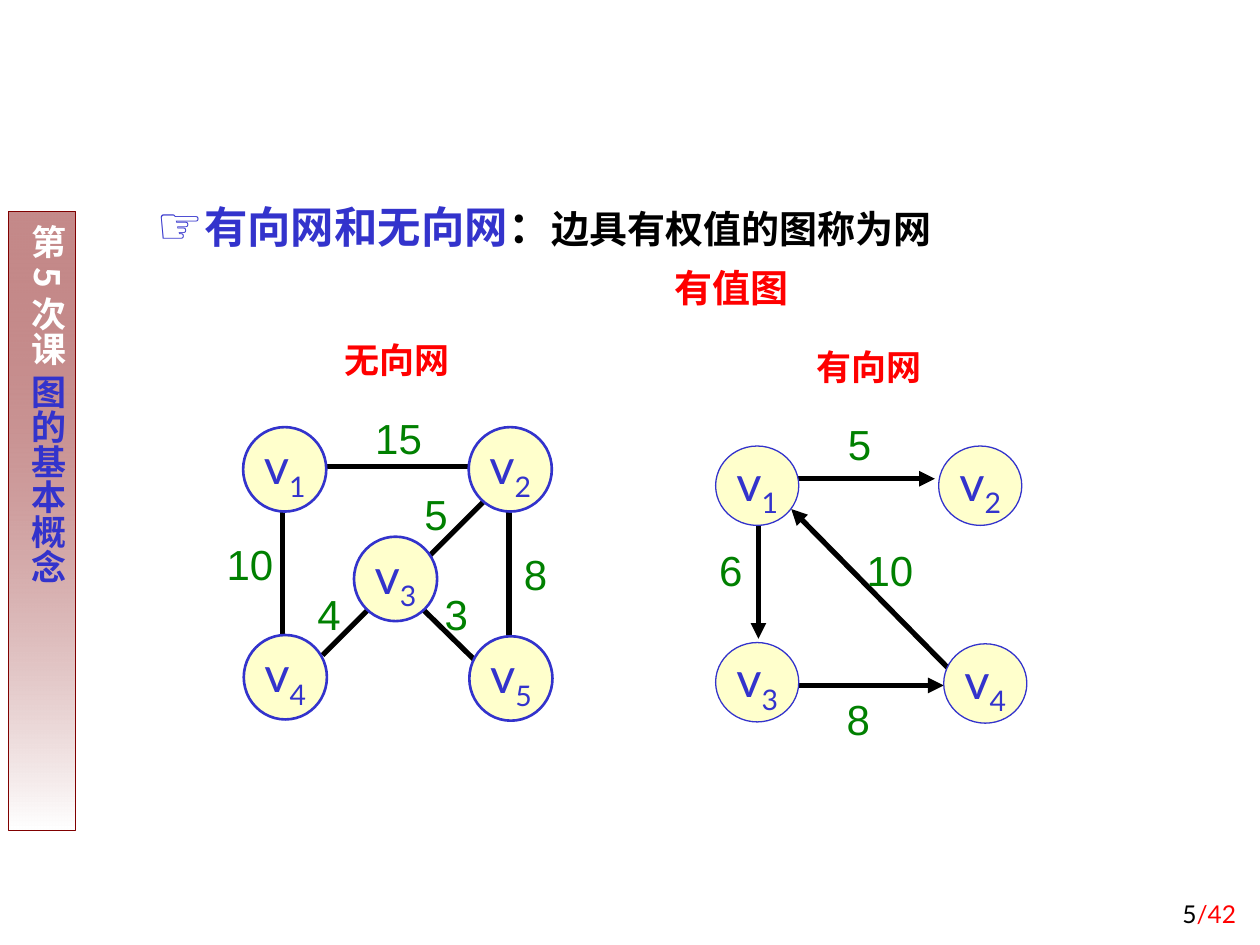
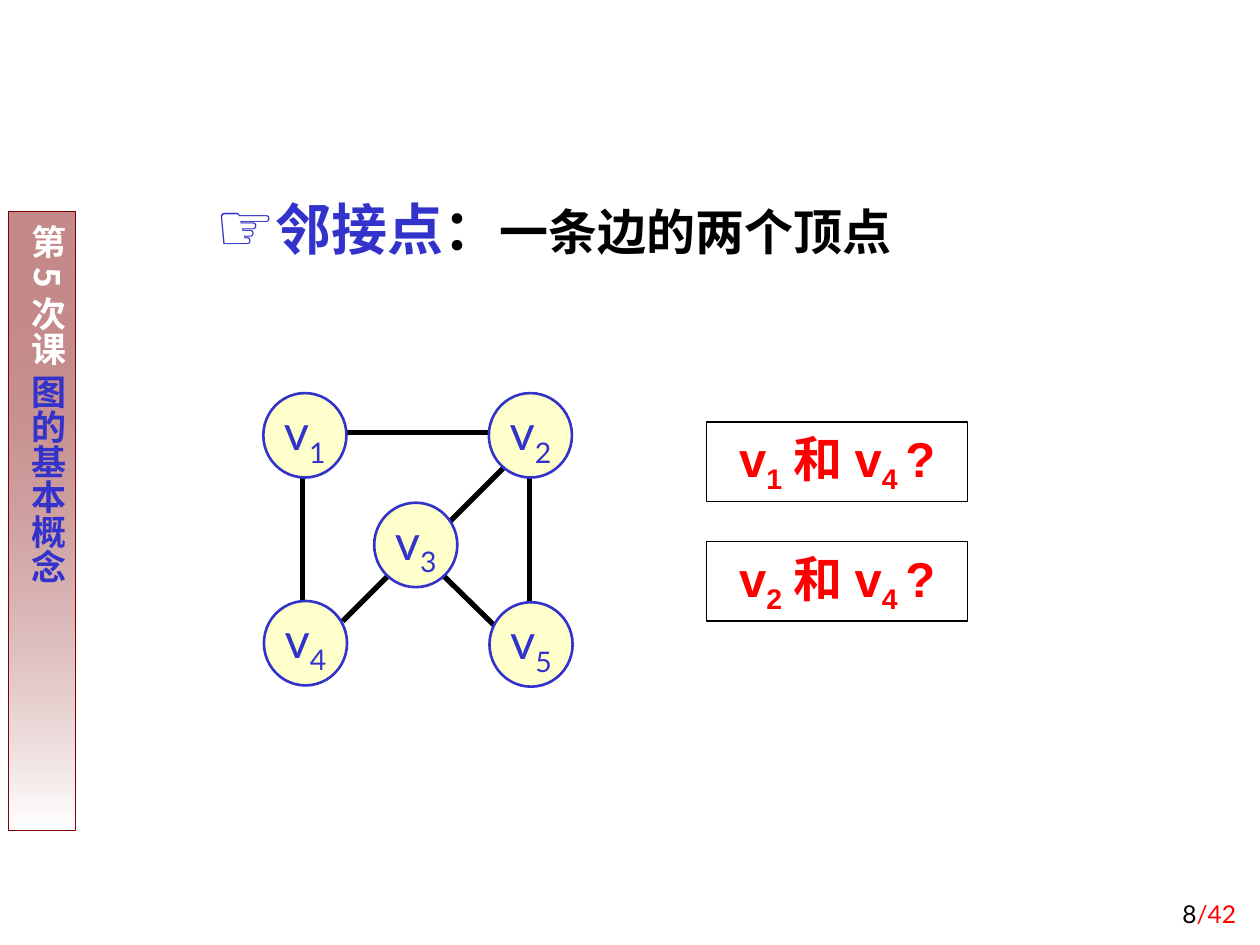
from dataclasses import dataclass
from typing import NamedTuple

from lxml import etree
from pptx import Presentation
from pptx.dml.color import RGBColor
from pptx.enum.shapes import MSO_CONNECTOR, MSO_SHAPE
from pptx.enum.text import MSO_ANCHOR, MSO_AUTO_SIZE, PP_ALIGN
from pptx.oxml.ns import qn
from pptx.util import Inches, Pt

# Enum members
RECT, OVAL = MSO_SHAPE.RECTANGLE, MSO_SHAPE.OVAL
LINE = MSO_CONNECTOR.STRAIGHT
LEFT, MID, RIGHT = PP_ALIGN.LEFT, PP_ALIGN.CENTER, PP_ALIGN.RIGHT
TOP, CENTER, BOTTOM = MSO_ANCHOR.TOP, MSO_ANCHOR.MIDDLE, MSO_ANCHOR.BOTTOM
NO_FIT = MSO_AUTO_SIZE.NONE

# Colours
BLUE = RGBColor(0x33, 0x33, 0xCC)
CREAM = RGBColor(0xFF, 0xFF, 0xCC)
GREEN = RGBColor(0x00, 0x80, 0x00)
RED = RGBColor(0xFF, 0x00, 0x00)
WINE = RGBColor(0x80, 0x00, 0x00)
BLACK = RGBColor(0x00, 0x00, 0x00)
WHITE = RGBColor(0xFF, 0xFF, 0xFF)

# Fonts
LATO, ARIAL, TIMES, HAN = "Lato", "Arial", "Times New Roman", "Noto Sans CJK SC"

# Grid: 100 columns by 75 rows of square cells
WIDE, HIGH = Inches(10), Inches(7.5)
CELL = WIDE / 100


class Box(NamedTuple):
    left: float
    top: float
    wide: float
    high: float


class Spot(NamedTuple):
    x: float
    y: float


class Part(NamedTuple):
    """A piece of text with what sets it off from its paragraph."""
    text: str
    color: RGBColor | None = None
    size: float | None = None
    sub: bool = False


class Style(NamedTuple):
    size: float
    font: str
    color: RGBColor
    bold: bool = False
    align: PP_ALIGN = LEFT
    anchor: MSO_ANCHOR = TOP
    wrap: bool = True


@dataclass(frozen=True)
class Graph:
    """Nodes, edges and weights, measured in cells from the first node."""
    nodes: tuple[Spot, ...]
    edges: tuple[tuple[Spot, Spot], ...]
    marks: tuple[tuple[str, Spot], ...]
    high: float
    line: float
    arrow: bool


NODE = Style(28, LATO, BLUE, align=MID, anchor=CENTER, wrap=False)
MARK = Style(24, ARIAL, GREEN, anchor=BOTTOM, wrap=False)
ASK = Style(28, ARIAL, RED, bold=True, align=MID, anchor=BOTTOM)
PAGE = Style(14, LATO, BLACK, align=RIGHT, anchor=BOTTOM)
SIDE = Style(20, HAN, WHITE, bold=True, align=MID)

NET = Graph(
    nodes=(Spot(0, 0), Spot(17.9, 0), Spot(8.8, 8.7), Spot(0.05, 16.5),
           Spot(17.95, 16.6)),
    edges=((Spot(3.1, 6.3), Spot(3.1, 16.6)),
           (Spot(6.3, 3.1), Spot(17.9, 3.1)),
           (Spot(21.1, 5.5), Spot(21.1, 16.6)),
           (Spot(10.2, 14.2), Spot(6.3, 18.1)),
           (Spot(19.5, 5.5), Spot(14.8, 10.2)),
           (Spot(14.1, 14.3), Spot(18.9, 19))),
    marks=(("5", Spot(13.4, 4.4)), ("15", Spot(9.5, -1.7)),
           ("10", Spot(-2.3, 8.3)), ("4", Spot(4.9, 12.3)),
           ("3", Spot(15, 12.3)), ("8", Spot(21.3, 9.1))),
    high=6.7, line=1.5, arrow=False)

FLOW = Graph(
    nodes=(Spot(0, 0), Spot(17.7, 0), Spot(0, 15.6), Spot(18.1, 15.7)),
    edges=((Spot(3.4, 6.3), Spot(3.4, 15.3)),
           (Spot(6.5, 19), Spot(18.1, 19)),
           (Spot(6.5, 2.6), Spot(17.4, 2.6)),
           (Spot(19.8, 19), Spot(6, 5))),
    marks=(("5", Spot(9.5, -2.7)), ("10", Spot(11, 7.3)),
           ("6", Spot(-0.7, 7.3)), ("8", Spot(9.4, 19.1))),
    high=6.3, line=0.75, arrow=True)


def cells(*spans: float) -> list[int]:
    return [round(span * CELL) for span in spans]


def add_runs(para, parts: list[Part]) -> None:
    for part in parts:
        run = para.add_run()
        run.text = part.text
        if part.color is not None:
            run.font.color.rgb = part.color
        if part.size:
            run.font.size = Pt(part.size)
        if part.sub:
            run._r.get_or_add_rPr().set("baseline", "-25000")


def set_font(para, size: float, name: str, color: RGBColor, bold: bool) -> None:
    font = para.font
    font.size, font.name, font.bold = Pt(size), name, bold
    font.color.rgb = color


def write(shape, parts: list[Part], style: Style) -> None:
    frame = shape.text_frame
    frame.word_wrap = style.wrap
    frame.auto_size = NO_FIT
    frame.vertical_anchor = style.anchor
    para = frame.paragraphs[0]
    para.alignment = style.align
    set_font(para, style.size, style.font, style.color, style.bold)
    add_runs(para, parts)


def add_text(slide, box: Box, parts: list[Part], style: Style) -> None:
    write(slide.shapes.add_textbox(*cells(*box)), parts, style)


def add_form(slide, kind, box: Box, fill: RGBColor | None, edge: RGBColor,
             line: float):
    form = slide.shapes.add_shape(kind, *cells(*box))
    form.shadow.inherit = False
    if fill is None:
        form.fill.background()
    else:
        form.fill.solid()
        form.fill.fore_color.rgb = fill
    form.line.color.rgb = edge
    form.line.width = Pt(line)
    return form


def add_edge(slide, start: Spot, end: Spot, arrow: bool) -> None:
    edge = slide.shapes.add_connector(LINE, *cells(*start, *end))
    edge.line.color.rgb = BLACK
    edge.line.width = Pt(3)
    if arrow:
        etree.SubElement(edge.line._get_or_add_ln(), qn("a:tailEnd"),
                         type="triangle")
    etree.SubElement(edge.element.spPr, qn("a:effectLst"))


def add_graph(slide, graph: Graph, base: Spot, marks: bool = True) -> None:
    def shift(spot: Spot) -> Spot:
        return Spot(base.x + spot.x, base.y + spot.y)

    for start, end in graph.edges:
        add_edge(slide, shift(start), shift(end), graph.arrow)
    for num, spot in enumerate(graph.nodes, 1):
        node = add_form(slide, OVAL, Box(*shift(spot), 6.6, graph.high),
                        CREAM, BLUE, graph.line)
        write(node, [Part("v"), Part(str(num), sub=True)], NODE)
    if marks:
        for text, spot in graph.marks:
            box = Box(*shift(spot), 1.9 + 1.9 * len(text), 5)
            add_text(slide, box, [Part(text)], MARK)


def add_side(slide) -> None:
    """Vertical band with the lesson's name."""
    band = add_form(slide, RECT, Box(0.7, 16.8, 5.3, 49.1), WHITE, WINE, 0.75)
    band.fill.gradient()
    band.fill.gradient_angle = 270
    for stop, color, place in zip(band.fill.gradient_stops, (WINE, WHITE), (0, 1)):
        stop.color.rgb = color
        stop.position = place
    tint = next(band.element.spPr.iter(qn("a:srgbClr")))
    etree.SubElement(tint, qn("a:alpha"), val="46000")
    write(band, [Part("第5次课 "), Part("图的基本概念", BLUE)], SIDE)
    frame = band.text_frame
    frame.margin_left = frame.margin_right = Inches(0.05)
    frame.margin_top = frame.margin_bottom = Inches(0.1)
    frame._txBody.bodyPr.set("vert", "eaVert")


def add_bullet(para) -> None:
    props = para._p.get_or_add_pPr()
    props.set("marL", str(Inches(0.38)))
    props.set("indent", str(-Inches(0.38)))
    tint = etree.SubElement(props, qn("a:buClr"))
    etree.SubElement(tint, qn("a:srgbClr"), val=str(BLUE))
    etree.SubElement(props, qn("a:buSzPct"), val="120000")
    etree.SubElement(props, qn("a:buChar"), char="☞")


def add_head(slide, box: Box, term: str, gloss: str, sizes: tuple[float, float],
             gap: float):
    """Bulleted term and its meaning, in the body placeholder."""
    body = slide.placeholders[1]
    body.left, body.top, body.width, body.height = cells(*box)
    frame = body.text_frame
    frame.auto_size = NO_FIT
    para = frame.paragraphs[0]
    add_bullet(para)
    para.line_spacing = gap
    para.space_before = Pt(0)
    set_font(para, sizes[0], LATO, BLACK, True)
    add_runs(para, [Part(term, BLUE), Part("："), Part(gloss, size=sizes[1])])
    return frame


def add_note(frame, text: str, size: float, inset: float) -> None:
    """Unbulleted line under the heading, set in by a number of cells."""
    para = frame.add_paragraph()
    props = para._p.get_or_add_pPr()
    props.set("marL", str(cells(inset)[0]))
    props.set("indent", "0")
    etree.SubElement(props, qn("a:buNone"))
    para.line_spacing = 1.0
    para.space_before = Pt(7)
    set_font(para, size, LATO, RED, True)
    add_runs(para, [Part(text)])


def add_page(deck, num: int):
    """New slide with the side band and page number."""
    slide = deck.slides.add_slide(deck.slide_layouts[1])
    title = slide.shapes.title.element
    title.getparent().remove(title)
    add_side(slide)
    add_text(slide, Box(78.3, 69.2, 20.8, 5), [Part(str(num)), Part("/42", RED)],
             PAGE)
    return slide


def add_nets(deck) -> None:
    slide = add_page(deck, 5)
    head = add_head(slide, Box(11.4, 15.4, 83.5, 9.4), "有向网和无向网",
                    "边具有权值的图称为网", (24.8, 21.7), 1.0)
    add_note(head, "有值图", 21.7, 41.1)
    for text, font, left, top in (("无向网", ARIAL, 22.1, 26.4),
                                  ("有向网", TIMES, 59.6, 26.9)):
        style = Style(20, font, RED, bold=True, align=MID)
        add_text(slide, Box(left, top, 18.8, 4.4), [Part(text)], style)
    add_graph(slide, NET, Spot(19.3, 33.9))
    add_graph(slide, FLOW, Spot(56.8, 35.4))


def add_pairs(deck) -> None:
    slide = add_page(deck, 8)
    add_head(slide, Box(16.1, 13.9, 76.8, 10.2), "邻接点", "一条边的两个顶点",
             (32, 28), 1.2)
    add_graph(slide, NET, Spot(20.9, 31.2), marks=False)
    for row, num in enumerate("12"):
        ask = add_form(slide, RECT, Box(56.1, 33.5 + 9.5 * row, 20.7, 6.3),
                       None, BLACK, 0.75)
        write(ask, [Part("v"), Part(num, sub=True), Part("和v"),
                    Part("4 ", sub=True), Part("?")], ASK)


def main() -> None:
    deck = Presentation()
    deck.slide_width, deck.slide_height = WIDE, HIGH
    add_nets(deck)
    add_pairs(deck)
    deck.save("out.pptx")


if __name__ == "__main__":
    main()
